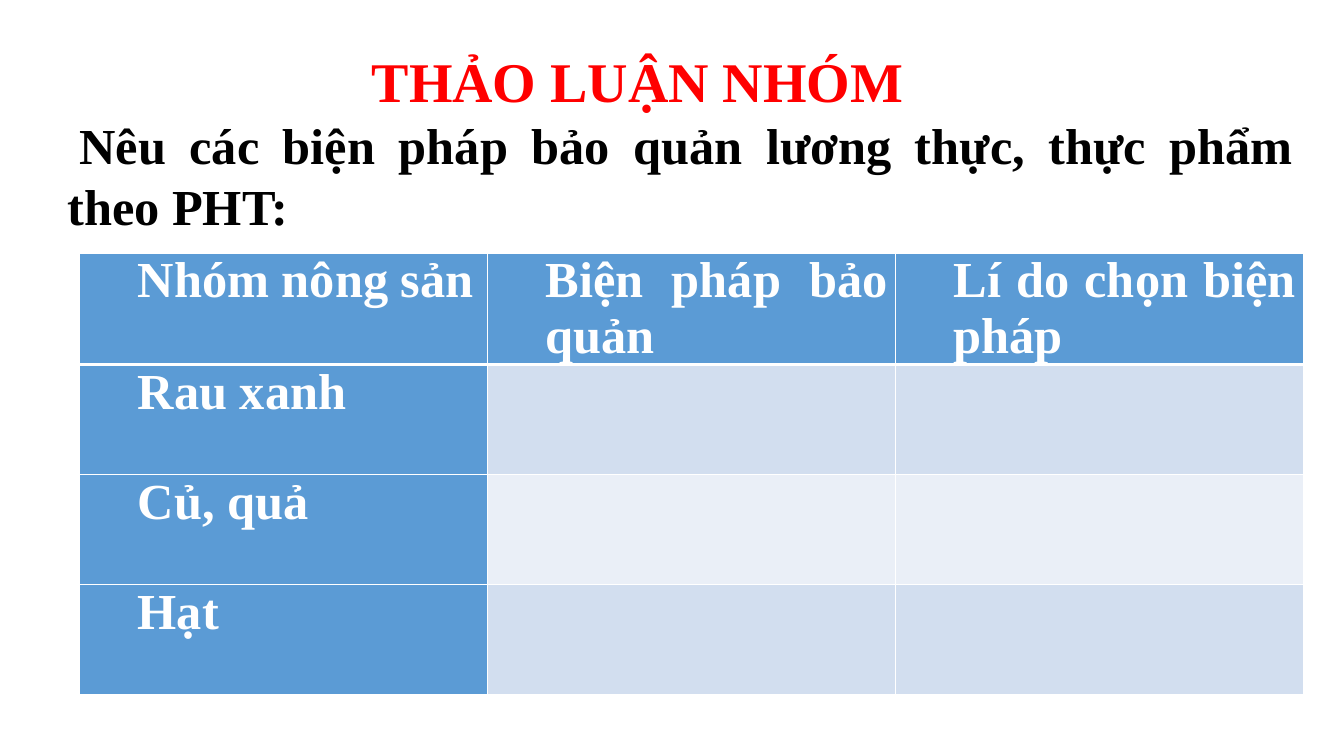
import pptx
import pptx.dml.color
import pptx.enum.text
import pptx.oxml
import pptx.oxml.ns
import pptx.util
from pptx.dml.color import RGBColor
from pptx.util import Pt

FONT = "Times New Roman"
WHITE = RGBColor(0xFF, 0xFF, 0xFF)
BLACK = RGBColor(0x00, 0x00, 0x00)
RED = RGBColor(0xFF, 0x00, 0x00)
BLUE = RGBColor(0x5B, 0x9B, 0xD5)
BAND_DARK = RGBColor(0xD2, 0xDE, 0xEF)
BAND_LIGHT = RGBColor(0xEA, 0xEF, 0xF7)

HEADERS = ["Nhóm nông sản", "Biện pháp bảo quản", "Lí do chọn biện pháp"]
PRODUCE_GROUPS = ["Rau xanh", "Củ, quả", "Hạt"]


def style_paragraph(paragraph, size, color, left=0, first_line=0):
    paragraph.alignment = pptx.enum.text.PP_ALIGN.JUSTIFY
    paragraph.font.name = FONT
    paragraph.font.size = Pt(size)
    paragraph.font.bold = True
    paragraph.font.color.rgb = color
    properties = paragraph._p.get_or_add_pPr()
    properties.set("marL", str(Pt(left)))
    properties.set("indent", str(Pt(first_line)))


def add_text(slide, text, box, size, color, wrap=True, first_line=0):
    shape = slide.shapes.add_textbox(*(Pt(length) for length in box))
    frame = shape.text_frame
    frame.word_wrap = wrap
    frame.auto_size = pptx.enum.text.MSO_AUTO_SIZE.SHAPE_TO_FIT_TEXT
    frame.text = text
    style_paragraph(frame.paragraphs[0], size, color, first_line=first_line)
    return frame


def set_borders(cell, widths):
    properties = cell._tc.get_or_add_tcPr()
    # Border lines come before the fill in the cell properties
    for position, (side, width) in enumerate(widths.items()):
        line = pptx.oxml.parse_xml(
            f'<a:{side} {pptx.oxml.ns.nsdecls("a")} w="{Pt(width)}">'
            f'<a:solidFill><a:srgbClr val="{WHITE}"/></a:solidFill></a:{side}>')
        properties.insert(position, line)


def fill_cell(cell, text, color):
    cell.margin_left = cell.margin_right = Pt(5.4)
    cell.margin_top = cell.margin_bottom = 0
    cell.fill.solid()
    cell.fill.fore_color.rgb = color
    if text:
        cell.text = text
        style_paragraph(cell.text_frame.paragraphs[0], 36, WHITE, left=36)


def add_worksheet_table(slide):
    rows = [HEADERS] + [[group, "", ""] for group in PRODUCE_GROUPS]
    table = slide.shapes.add_table(
        len(rows), len(HEADERS), Pt(57), Pt(180.7), Pt(874.2), Pt(314.4)).table
    for row_index, texts in enumerate(rows):
        band = BAND_DARK if row_index % 2 else BAND_LIGHT
        top = 3 if row_index == 1 else 1
        bottom = 3 if row_index == 0 else 1
        for column_index, text in enumerate(texts):
            cell = table.cell(row_index, column_index)
            is_heading = row_index == 0 or column_index == 0
            fill_cell(cell, text, BLUE if is_heading else band)
            set_borders(cell, {"lnL": 1, "lnR": 1, "lnT": top, "lnB": bottom})


def main():
    presentation = pptx.Presentation()
    presentation.slide_width = Pt(960)
    presentation.slide_height = Pt(540)
    slide = presentation.slides.add_slide(presentation.slide_layouts[6])

    # Worksheet table
    add_worksheet_table(slide)

    # Task
    task = add_text(
        slide, "Nêu các biện pháp bảo quản lương thực, thực phẩm theo PHT:",
        (41, 77.8, 890, 94.3), 36, BLACK, first_line=8.64)
    task.vertical_anchor = pptx.enum.text.MSO_ANCHOR.MIDDLE

    # Title
    title = add_text(slide, "THẢO LUẬN NHÓM", (258.5, 26.6, 398.2, 56.9),
                     40, RED, wrap=False)
    title.paragraphs[0].line_spacing = 1.07

    presentation.save("out.pptx")


if __name__ == "__main__":
    main()
